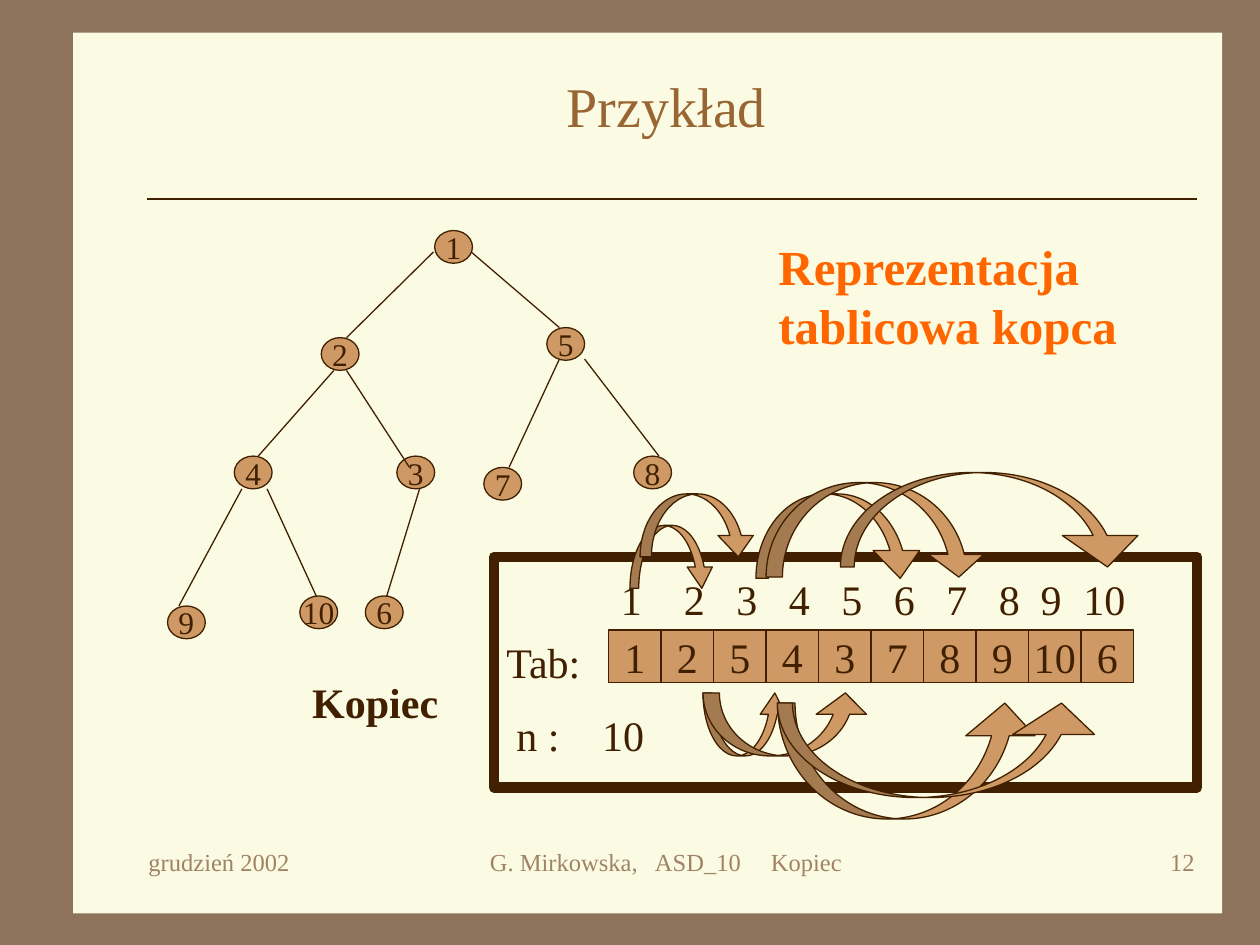
from typing import NamedTuple, Sequence

from lxml import etree
from pptx import Presentation
from pptx.dml.color import RGBColor
from pptx.enum.shapes import MSO_CONNECTOR, MSO_SHAPE
from pptx.enum.text import MSO_ANCHOR, PP_ALIGN
from pptx.oxml.ns import qn
from pptx.util import Inches, Pt

BROWN_BG = RGBColor(0x8C, 0x73, 0x5A)
CREAM = RGBColor(0xFB, 0xFA, 0xE2)
TAN = RGBColor(0xCE, 0x99, 0x64)
DARK = RGBColor(0x40, 0x20, 0x00)
TITLE_BROWN = RGBColor(0x99, 0x66, 0x33)
ORANGE = RGBColor(0xFF, 0x66, 0x00)
FOOTER = RGBColor(0xA0, 0x83, 0x66)
FONT = "Times New Roman"

STRAIGHT = MSO_CONNECTOR.STRAIGHT
RECT, OVAL = MSO_SHAPE.RECTANGLE, MSO_SHAPE.OVAL
DOWN, UP = MSO_SHAPE.CURVED_DOWN_ARROW, MSO_SHAPE.CURVED_UP_ARROW
LEFT, CENTER, RIGHT = PP_ALIGN.LEFT, PP_ALIGN.CENTER, PP_ALIGN.RIGHT
TOP, MIDDLE = MSO_ANCHOR.TOP, MSO_ANCHOR.MIDDLE

NODE_W, NODE_H = 0.3, 0.26
CELL = 5 / 12


class Node(NamedTuple):
    key: int
    x: float
    y: float


class Edge(NamedTuple):
    x1: float
    y1: float
    x2: float
    y2: float


class Arc(NamedTuple):
    """Curved arrow; shaft, head width and head length are in inches."""
    kind: MSO_SHAPE
    x: float
    y: float
    w: float
    h: float
    shaft: float
    head_w: float
    head_l: float


class Label(NamedTuple):
    text: str
    x: float
    y: float
    w: float
    h: float = 0.5
    size: int = 24
    color: RGBColor = DARK
    bold: bool = False
    align: PP_ALIGN = LEFT
    tabs: Sequence[float] = ()


NODES = [
    Node(1, 3.45, 1.83), Node(5, 4.34, 2.6), Node(2, 2.55, 2.68),
    Node(4, 1.86, 3.62), Node(3, 3.15, 3.62), Node(7, 3.84, 3.71),
    Node(8, 5.03, 3.62), Node(9, 1.33, 4.81), Node(10, 2.38, 4.73),
    Node(6, 2.9, 4.73),
]
EDGES = [
    Edge(2.75, 2.68, 3.44, 2), Edge(3.74, 2, 4.44, 2.6),
    Edge(2.65, 2.94, 2.05, 3.62), Edge(2.75, 2.94, 3.25, 3.71),
    Edge(4.44, 2.85, 4.04, 3.71), Edge(4.64, 2.85, 5.23, 3.62),
    Edge(1.92, 3.88, 1.42, 4.81), Edge(2.12, 3.88, 2.51, 4.73),
    Edge(3.33, 3.88, 3.07, 4.73),
]
HEAP = [1, 2, 5, 4, 3, 7, 8, 9, 10, 6]
ARCS = [
    Arc(DOWN, 5, 4.17, 0.67, 0.5, 0.07, 0.2, 0.17),
    Arc(DOWN, 5.08, 3.92, 0.92, 0.5, 0.09, 0.28, 0.17),
    Arc(UP, 5.58, 5.5, 0.67, 0.5, 0.07, 0.2, 0.17),
    Arc(UP, 5.58, 5.5, 1.33, 0.5, 0.13, 0.4, 0.17),
    Arc(DOWN, 6, 3.92, 1.33, 0.67, 0.1, 0.37, 0.22),
    Arc(DOWN, 6.08, 3.83, 1.75, 0.75, 0.13, 0.44, 0.18),
    Arc(UP, 6.17, 5.58, 2.08, 0.92, 0.14, 0.55, 0.26),
    Arc(UP, 6.17, 5.58, 2.58, 0.75, 0.12, 0.65, 0.25),
    Arc(DOWN, 6.67, 3.75, 2.42, 0.75, 0.11, 0.6, 0.25),
]
INDEX_TABS = [0.5 + CELL * i for i in range(7)] + [3.33, 3.67]
LABELS = [
    Label("Kopiec", 2.38, 5.32, 2, bold=True),
    Label("Tab:", 3.92, 5, 0.83),
    Label("n :\t10", 4, 5.58, 2, tabs=[0.68]),
    Label("\t".join(str(i) for i in range(1, 11)), 4.83, 4.5, 4.59,
          tabs=INDEX_TABS),
    Label("Reprezentacja tablicowa kopca", 6.08, 1.83, 3, 1.04, 28, ORANGE, True),
    Label("G. Mirkowska,\tASD_10\tKopiec", 3.79, 6.67, 3.7, 0.5, 14, FOOTER,
          tabs=[1.31, 2.23]),
    Label("12", 7.5, 6.67, 2.08, 0.5, 14, FOOTER, align=RIGHT),
    Label("grudzień 2002", 1.08, 6.67, 2.08, 0.5, 14, FOOTER),
]


def write(shape, text: str, size: int, color: RGBColor, bold: bool = False,
          align: PP_ALIGN = CENTER, anchor: MSO_ANCHOR = MIDDLE,
          wrap: bool = False) -> None:
    tf = shape.text_frame
    tf.text = text
    tf.word_wrap = wrap
    tf.vertical_anchor = anchor
    p = tf.paragraphs[0]
    p.alignment = align
    for r in p.runs:
        r.font.name, r.font.size, r.font.bold = FONT, Pt(size), bold
        r.font.color.rgb = color


def add_shape(s, kind: MSO_SHAPE, x: float, y: float, w: float, h: float,
              fill: RGBColor | None = TAN, line: float = 0.75):
    sp = s.shapes.add_shape(kind, Inches(x), Inches(y), Inches(w), Inches(h))
    sp.shadow.inherit = False
    if fill is None:
        sp.fill.background()
    else:
        sp.fill.solid()
        sp.fill.fore_color.rgb = fill
    if line:
        sp.line.color.rgb = DARK
        sp.line.width = Pt(line)
    else:
        sp.line.fill.background()
    return sp


def add_line(s, e: Edge) -> None:
    c = s.shapes.add_connector(STRAIGHT, Inches(e.x1), Inches(e.y1),
                               Inches(e.x2), Inches(e.y2))
    c.line.color.rgb = DARK
    c.line.width = Pt(0.75)
    etree.SubElement(c._element.spPr, qn("a:effectLst"))


def add_arc(s, a: Arc) -> None:
    sp = add_shape(s, a.kind, a.x, a.y, a.w, a.h)
    for i, length in enumerate((a.shaft, a.head_w, a.head_l)):
        sp.adjustments[i] = length / min(a.w, a.h)


def add_label(s, t: Label) -> None:
    tb = s.shapes.add_textbox(Inches(t.x), Inches(t.y), Inches(t.w), Inches(t.h))
    write(tb, t.text, t.size, t.color, t.bold, t.align, TOP, True)
    if t.tabs:
        pPr = tb.text_frame.paragraphs[0]._p.get_or_add_pPr()
        tab_list = etree.SubElement(pPr, qn("a:tabLst"))
        for pos in t.tabs:
            etree.SubElement(tab_list, qn("a:tab"), pos=str(Inches(pos)), algn="l")


def main() -> None:
    prs = Presentation()
    prs.slide_width, prs.slide_height = Inches(10), Inches(7.5)
    s = prs.slides.add_slide(prs.slide_layouts[5])
    s.background.fill.solid()
    s.background.fill.fore_color.rgb = BROWN_BG

    page = add_shape(s, RECT, 0.58, 0.26, 9.12, 6.99, CREAM, 0)
    title = s.shapes.title
    page._element.addnext(title._element)
    title.left, title.top = Inches(1.08), Inches(0.5)
    title.width, title.height = Inches(8.42), Inches(0.67)
    write(title, "Przykład", 32, TITLE_BROWN, wrap=True)
    add_line(s, Edge(1.17, 1.58, 9.5, 1.58))

    for n in NODES:
        write(add_shape(s, OVAL, n.x, n.y, NODE_W, NODE_H), str(n.key), 18, DARK)
    for e in EDGES:
        add_line(s, e)

    add_shape(s, RECT, 3.92, 4.42, 5.58, 1.83, None, 6)
    for i, key in enumerate(HEAP):
        cell = add_shape(s, RECT, 4.83 + i * CELL, 5, CELL, CELL)
        write(cell, str(key), 24, DARK)
    for t in LABELS:
        add_label(s, t)
    for a in ARCS:
        add_arc(s, a)

    prs.save("out.pptx")


if __name__ == "__main__":
    main()
